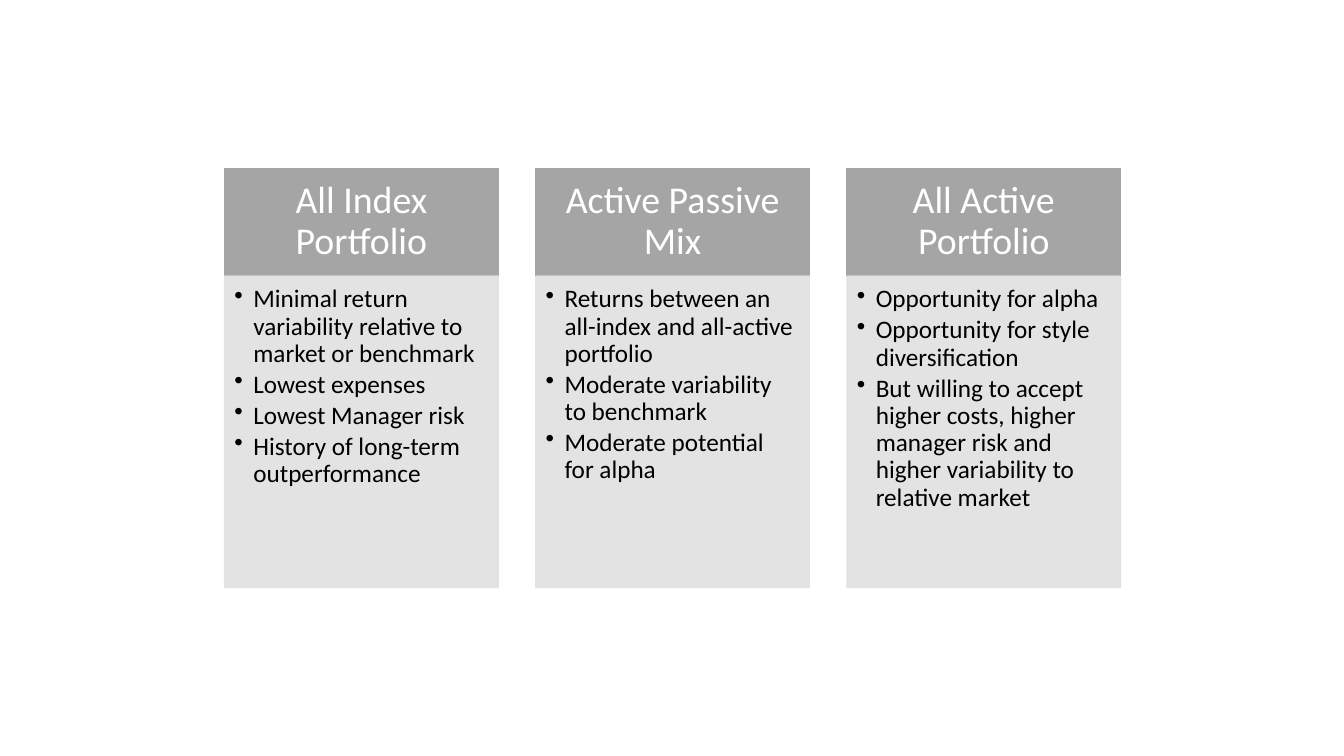
from dataclasses import dataclass

from lxml.etree import SubElement
from pptx import Presentation
from pptx.dml.color import RGBColor
from pptx.enum.shapes import MSO_SHAPE as Preset
from pptx.enum.text import MSO_ANCHOR as Anchor, PP_ALIGN as Align
from pptx.oxml.ns import qn
from pptx.shapes.autoshape import Shape
from pptx.util import Pt

WHITE = RGBColor(0xFF, 0xFF, 0xFF)
BLACK = RGBColor(0x00, 0x00, 0x00)
GREY = RGBColor(0xA5, 0xA5, 0xA5)
PALE_GREY = RGBColor(0xE1, 0xE1, 0xE1)

# Column grid, in points
FIRST_LEFT, COLUMN_PITCH, COLUMN_WIDTH = 160.4, 222.3, 195.4
TOP, HEADING_HEIGHT, BODY_HEIGHT = 120.2, 77, 222.5
BULLET_INDENT = 13.5


@dataclass(frozen=True)
class Portfolio:
    heading: str
    traits: tuple[str, ...]


@dataclass(frozen=True)
class PanelStyle:
    fill: RGBColor
    ink: RGBColor
    size: float
    space_after: float
    align: Align
    anchor: Anchor
    margins: tuple[float, float, float, float]
    opacity: int = 100
    bulleted: bool = False


HEADING = PanelStyle(GREY, WHITE, 27, 9.45, Align.CENTER, Anchor.MIDDLE,
                     (15.1, 8.6, 15.1, 8.6))
BODY = PanelStyle(PALE_GREY, BLACK, 18, 2.7, Align.LEFT, Anchor.TOP,
                  (7.2, 7.2, 10, 11.5), opacity=90, bulleted=True)

PORTFOLIOS = (
    Portfolio("All Index Portfolio", (
        "Minimal return variability relative to market or benchmark",
        "Lowest expenses",
        "Lowest Manager risk",
        "History of long-term outperformance",
    )),
    Portfolio("Active Passive Mix", (
        "Returns between an all-index and all-active portfolio",
        "Moderate variability to benchmark",
        "Moderate potential for alpha",
    )),
    Portfolio("All Active Portfolio", (
        "Opportunity for alpha",
        "Opportunity for style diversification",
        "But willing to accept higher costs, higher manager risk and "
        "higher variability to relative market",
    )),
)


def apply_format(target: object, values: dict[str, object]) -> None:
    for name, value in values.items():
        setattr(target, name, value)


def set_opacity(panel: Shape, percent: int) -> None:
    """Apply one opacity to both the fill and the outline."""
    for colour in panel.element.spPr.iter(qn("a:srgbClr")):
        SubElement(colour, qn("a:alpha"), val=str(percent * 1000))


def add_panel(left: float, top: float, height: float,
              lines: tuple[str, ...], style: PanelStyle) -> None:
    panel = slide.shapes.add_shape(Preset.RECTANGLE, Pt(left), Pt(top),
                                   Pt(COLUMN_WIDTH), Pt(height))
    panel.shadow.inherit = False
    panel.fill.solid()
    panel.fill.fore_color.rgb = style.fill
    panel.line.color.rgb = style.fill
    panel.line.width = Pt(1)
    if style.opacity < 100:
        set_opacity(panel, style.opacity)

    frame = panel.text_frame
    sides = ("margin_left", "margin_top", "margin_right", "margin_bottom")
    apply_format(frame, {
        "word_wrap": True,
        "vertical_anchor": style.anchor,
        **{side: Pt(margin) for side, margin in zip(sides, style.margins)},
    })
    for index, line in enumerate(lines):
        paragraph = frame.add_paragraph() if index else frame.paragraphs[0]
        apply_format(paragraph, {
            "alignment": style.align,
            "line_spacing": 0.9,
            "space_after": Pt(style.space_after),
            "level": int(style.bulleted),
        })
        run = paragraph.add_run()
        run.text = line
        apply_format(run.font, {"name": "Calibri", "size": Pt(style.size)})
        run.font.color.rgb = style.ink
        if style.bulleted:
            properties = paragraph._p.get_or_add_pPr()
            properties.set("marL", str(Pt(BULLET_INDENT)))
            properties.set("indent", str(-Pt(BULLET_INDENT)))
            SubElement(properties, qn("a:buChar"), char="•")


presentation = Presentation()
apply_format(presentation, {"slide_width": Pt(960), "slide_height": Pt(540)})
slide = presentation.slides.add_slide(presentation.slide_layouts[6])

# One column per portfolio: heading above its traits
for column, portfolio in enumerate(PORTFOLIOS):
    column_left = FIRST_LEFT + column * COLUMN_PITCH
    add_panel(column_left, TOP, HEADING_HEIGHT, (portfolio.heading,), HEADING)
    add_panel(column_left, TOP + HEADING_HEIGHT, BODY_HEIGHT,
              portfolio.traits, BODY)

presentation.save("out.pptx")
